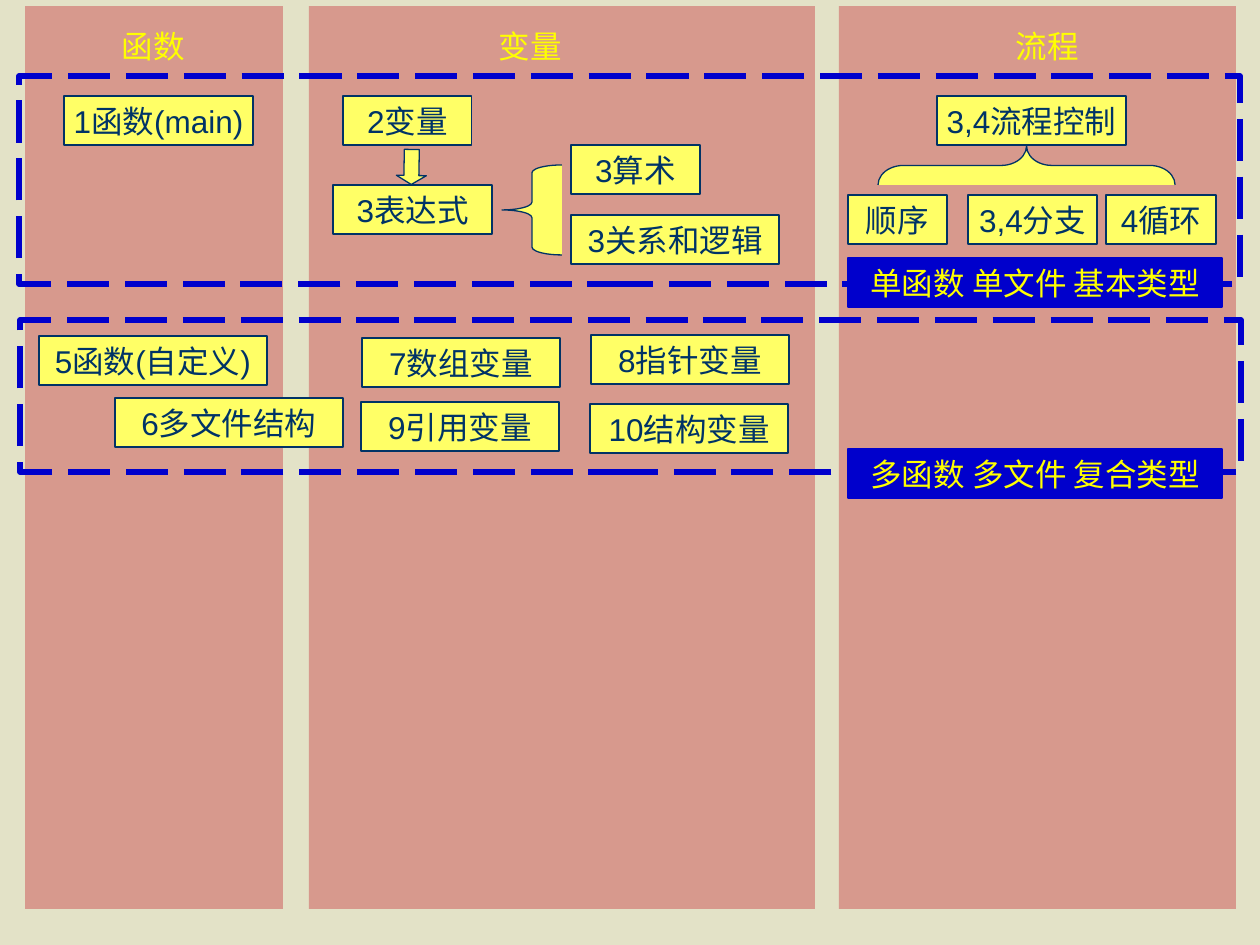
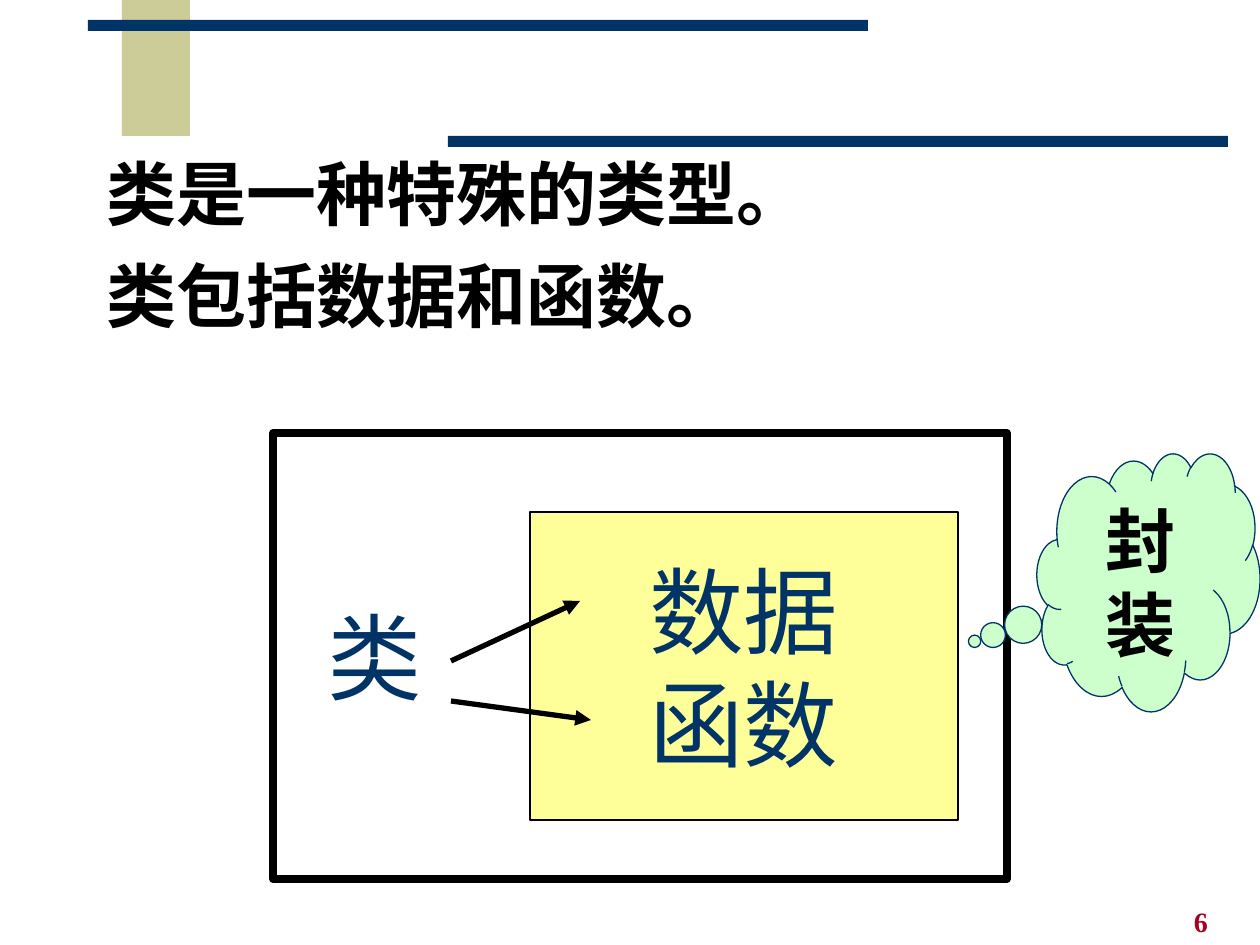
from dataclasses import dataclass
from typing import NamedTuple, Optional

from lxml import etree
from pptx import Presentation
from pptx.dml.color import RGBColor
from pptx.enum.dml import MSO_LINE
from pptx.enum.shapes import MSO_CONNECTOR, MSO_SHAPE
from pptx.enum.text import MSO_ANCHOR, PP_ALIGN
from pptx.oxml.ns import qn
from pptx.util import Emu, Pt

RECTANGLE = MSO_SHAPE.RECTANGLE
LEFT_BRACE = MSO_SHAPE.LEFT_BRACE
RIGHT_ARROW = MSO_SHAPE.RIGHT_ARROW
CLOUD = MSO_SHAPE.CLOUD_CALLOUT
STRAIGHT = MSO_CONNECTOR.STRAIGHT
LONG_DASH = MSO_LINE.LONG_DASH
LEFT, CENTER = PP_ALIGN.LEFT, PP_ALIGN.CENTER
TOP, MIDDLE = MSO_ANCHOR.TOP, MSO_ANCHOR.MIDDLE

PX_PER_INCH = 126
PAGE_WIDTH, PAGE_HEIGHT = 1260, 945
CARD_HEIGHT = 49
INSET_X, INSET_Y = 13, 6


@dataclass(frozen=True)
class Theme:
    sand: str = "E3E2C7"
    rose: str = "D7998D"
    card: str = "FFFF66"
    navy: str = "003366"
    blue: str = "0000CC"
    yellow: str = "FFFF00"
    khaki: str = "CCCC99"
    pale_yellow: str = "FFFF99"
    mint: str = "CCFFCC"
    crimson: str = "A50021"
    white: str = "FFFFFF"
    black: str = "000000"
    sans: str = "Arial"
    serif: str = "Times New Roman"
    label_size: int = 18
    number_size: int = 16
    body_size: int = 40
    diagram_size: int = 54
    thin: float = 0.75
    medium: float = 3
    thick: float = 4.5


THEME = Theme()


class Area(NamedTuple):
    left: int
    top: int
    width: int
    height: int


class Label(NamedTuple):
    text: str
    left: int
    top: int
    width: int


class Arrow(NamedTuple):
    x1: int
    y1: int
    x2: int
    y2: int


# Topic map: three columns crossed by two dashed stages
COLUMNS = [Area(left, 6, width, 903) for left, width in ((839, 397), (309, 506), (25, 258))]
HEADINGS = [Label("函数", 84, 16, 139), Label("变量", 461, 16, 139), Label("流程", 978, 16, 139)]
CARDS = [
    Label("1函数(main)", 64, 96, 189),
    Label("2变量", 343, 96, 129),
    Label("3表达式", 333, 185, 159),
    Label("3算术", 571, 145, 129),
    Label("3关系和逻辑", 571, 215, 208),
    Label("3,4流程控制", 937, 96, 189),
    Label("顺序", 848, 195, 99),
    Label("3,4分支", 968, 195, 129),
    Label("4循环", 1106, 195, 110),
    Label("5函数(自定义)", 39, 336, 228),
    Label("6多文件结构", 115, 398, 228),
    Label("7数组变量", 362, 338, 198),
    Label("8指针变量", 591, 335, 198),
    Label("9引用变量", 361, 402, 198),
    Label("10结构变量", 590, 404, 198),
]
STAGES = [Area(19, 76, 1221, 208), Area(20, 320, 1221, 152)]
STAGE_TAGS = [
    Label("单函数 单文件 基本类型", 848, 258, 374),
    Label("多函数 多文件 复合类型", 848, 449, 374),
]

# Class diagram
BANDS = [
    (Area(122, 0, 68, 136), THEME.khaki),
    (Area(88, 20, 780, 11), THEME.navy),
    (Area(448, 136, 780, 11), THEME.navy),
]
ARROWS = [Arrow(451, 661, 580, 601), Arrow(451, 701, 591, 720)]


def px(length: int) -> Emu:
    return Emu(round(length * 914400 / PX_PER_INCH))


def color(code: str) -> RGBColor:
    return RGBColor.from_string(code)


def add_page(deck, background: str):
    page = deck.slides.add_slide(deck.slide_layouts[6])
    page.background.fill.solid()
    page.background.fill.fore_color.rgb = color(background)
    return page


def draw_shape(page, area: Area, *, kind=RECTANGLE, fill: Optional[str] = None,
               line: Optional[str] = None, weight: float = THEME.thin, dash=None,
               rotation: int = 0, adjustments: tuple = ()):
    box = page.shapes.add_shape(kind, *map(px, area))
    box.shadow.inherit = False
    box.rotation = rotation
    for index, value in enumerate(adjustments):
        box.adjustments[index] = value
    if fill:
        box.fill.solid()
        box.fill.fore_color.rgb = color(fill)
    else:
        box.fill.background()
    if line:
        box.line.color.rgb = color(line)
        box.line.width = Pt(weight)
        if dash:
            box.line.dash_style = dash
    else:
        box.line.fill.background()
    return box


def write(box, text: str, *, size: int, ink: str, font: str = THEME.sans,
          bold: bool = False, align=CENTER, anchor=MIDDLE, wrap: bool = False,
          inset_left: int = INSET_X, gap: int = 0) -> None:
    frame = box.text_frame
    frame.word_wrap = wrap
    frame.vertical_anchor = anchor
    frame.margin_left, frame.margin_right = px(inset_left), px(INSET_X)
    frame.margin_top = frame.margin_bottom = px(INSET_Y)
    for index, words in enumerate(text.split("\n")):
        para = frame.paragraphs[0] if index == 0 else frame.add_paragraph()
        para.alignment = align
        para.space_before = Pt(gap if index else 0)
        span = para.add_run()
        span.text = words
        span.font.name = font
        span.font.size = Pt(size)
        span.font.bold = bold
        span.font.color.rgb = color(ink)


def add_text(page, area: Area, text: str, **style) -> None:
    write(page.shapes.add_textbox(*map(px, area)), text, **style)


def draw_label(page, label: Label, fill: str, line: str, ink: str) -> None:
    area = Area(label.left, label.top, label.width, CARD_HEIGHT)
    box = draw_shape(page, area, fill=fill, line=line)
    write(box, label.text, size=THEME.label_size, ink=ink)


def draw_arrow(page, arrow: Arrow) -> None:
    connector = page.shapes.add_connector(STRAIGHT, *map(px, arrow))
    connector.line.color.rgb = color(THEME.black)
    connector.line.width = Pt(THEME.medium)
    properties = connector.element.spPr
    etree.SubElement(properties.find(qn("a:ln")), qn("a:tailEnd"), type="triangle")
    etree.SubElement(properties, qn("a:effectLst"))


def build_topic_map(deck) -> None:
    page = add_page(deck, THEME.sand)
    for column in COLUMNS:
        draw_shape(page, column, fill=THEME.rose)

    # Topics and the symbols that join them
    for card in CARDS:
        draw_label(page, card, THEME.card, THEME.navy, THEME.navy)
    symbol = {"fill": THEME.card, "line": THEME.navy}
    draw_shape(page, Area(394, 152, 35, 30), kind=RIGHT_ARROW, rotation=91,
               adjustments=(0.5, 0.3), **symbol)
    draw_shape(page, Area(502, 165, 60, 90), kind=LEFT_BRACE, adjustments=(0.13, 0.5), **symbol)
    draw_shape(page, Area(1007, 17, 39, 297), kind=LEFT_BRACE, rotation=90,
               adjustments=(0.65, 0.5), **symbol)

    # Stages and their tags
    for stage, tag in zip(STAGES, STAGE_TAGS):
        draw_shape(page, stage, line=THEME.blue, weight=THEME.medium, dash=LONG_DASH)
        draw_label(page, tag, THEME.blue, THEME.blue, THEME.yellow)

    for heading in HEADINGS:
        add_text(page, Area(heading.left, heading.top, heading.width, 59), heading.text,
                 size=THEME.label_size, ink=THEME.yellow)


def build_class_diagram(deck) -> None:
    page = add_page(deck, THEME.white)
    for area, fill in BANDS:
        draw_shape(page, area, fill=fill)

    # Statement and page number
    add_text(page, Area(94, 145, 1134, 624), "类是一种特殊的类型。\n类包括数据和函数。",
             size=THEME.body_size, ink=THEME.black, font=THEME.serif, bold=True,
             align=LEFT, anchor=TOP, wrap=True, gap=10)
    add_text(page, Area(1181, 898, 79, 47), "6", size=THEME.number_size, ink=THEME.crimson,
             font=THEME.serif, bold=True, align=LEFT, anchor=TOP, wrap=True)

    # Class with its members
    class_box = draw_shape(page, Area(273, 433, 734, 446), fill=THEME.white,
                           line=THEME.black, weight=THEME.thick)
    write(class_box, "类", size=THEME.diagram_size, ink=THEME.navy, align=LEFT,
          wrap=True, inset_left=54)
    members = draw_shape(page, Area(530, 512, 428, 308), fill=THEME.pale_yellow, line=THEME.black)
    write(members, "数据\n函数", size=THEME.diagram_size, ink=THEME.navy)
    for arrow in ARROWS:
        draw_arrow(page, arrow)

    # Thought bubble
    bubble = draw_shape(page, Area(1037, 453, 223, 258), kind=CLOUD, fill=THEME.mint,
                        line=THEME.navy, adjustments=(-0.78, 0.23))
    write(bubble, "封装", size=THEME.body_size, ink=THEME.black, bold=True,
          anchor=TOP, wrap=True)


def main() -> None:
    deck = Presentation()
    deck.slide_width, deck.slide_height = px(PAGE_WIDTH), px(PAGE_HEIGHT)
    build_topic_map(deck)
    build_class_diagram(deck)
    deck.save("out.pptx")


if __name__ == "__main__":
    main()
